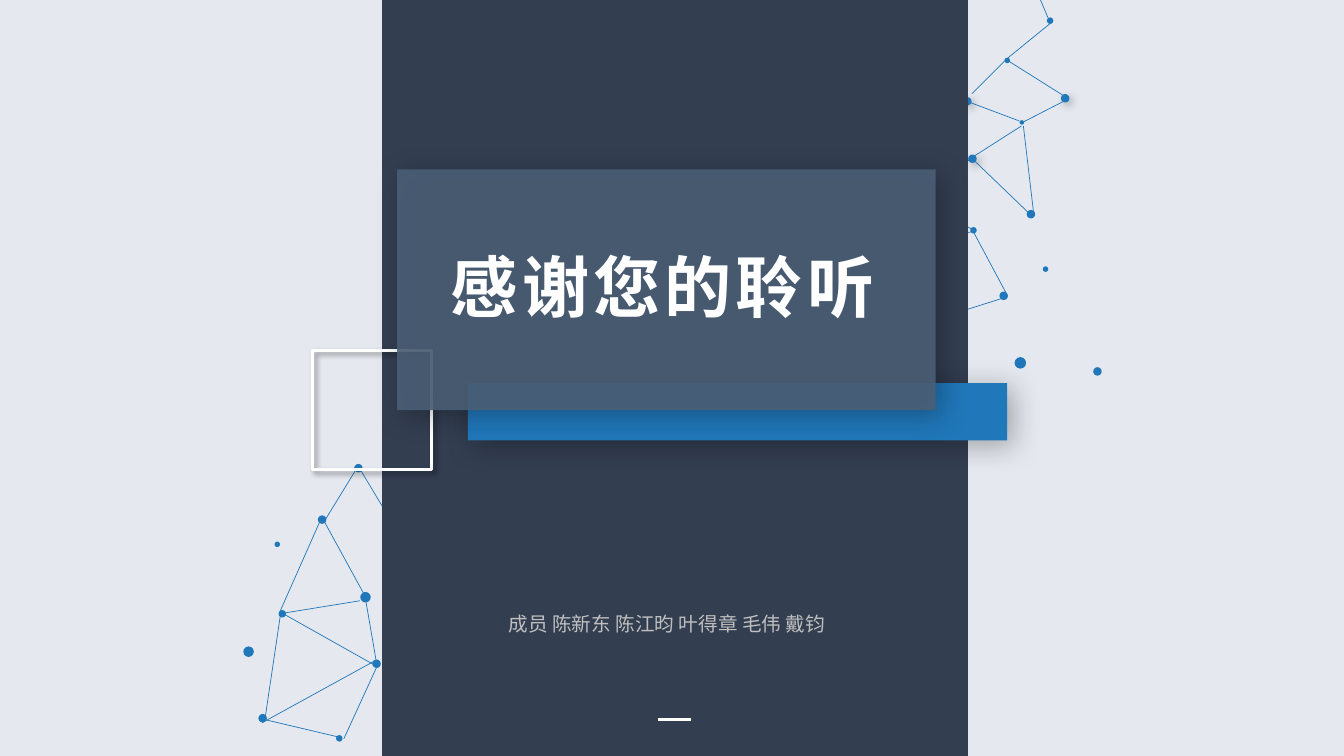
from dataclasses import dataclass
from typing import NamedTuple, Optional

from lxml.etree import SubElement
from pptx import Presentation
from pptx.dml.color import RGBColor
from pptx.enum.shapes import MSO_CONNECTOR as Connector, MSO_SHAPE as Preset
from pptx.enum.text import MSO_ANCHOR as Anchor, MSO_AUTO_SIZE as AutoSize, PP_ALIGN as Align
from pptx.oxml.ns import qn
from pptx.util import Inches, Pt


@dataclass(frozen=True)
class Theme:
    backdrop: str = "E5E9EF"
    band: str = "333E51"
    panel: str = "4B5E75"
    accent: str = "2077B9"
    white: str = "FFFFFF"
    muted: str = "BFBFBF"
    black: str = "000000"
    gray: str = "404040"
    font: str = "Noto Sans CJK SC"
    title_size: float = 48
    members_size: float = 14
    strand_width: float = 0.5
    dot_width: float = 1
    frame_width: float = 2.25


THEME = Theme()


class Shadow(NamedTuple):
    color: str
    opacity: int
    blur: float
    distance: float


class Strand(NamedTuple):
    x1: float
    y1: float
    x2: float
    y2: float


class Dot(NamedTuple):
    left: float
    top: float
    size: float
    shadow: Optional[Shadow] = None


class Block(NamedTuple):
    left: float
    top: float
    width: float
    height: float
    fill: Optional[str] = None
    opacity: int = 100
    line: Optional[str] = None
    line_width: float = 0
    shadow: Optional[Shadow] = None


SOFT = Shadow(THEME.black, 30, 20, 5)
FRAME_SHADOW = Shadow(THEME.black, 40, 4, 3)
DOT_SHADOW = Shadow(THEME.gray, 40, 6, 3)

UPPER_STRANDS = [
    Strand(10.01, 0.61, 10.55, 0.95), Strand(10.32, 0, 10.4, 0.19),
    Strand(10.42, 0.23, 9.99, 0.58), Strand(9.97, 0.6, 9.64, 0.93),
    Strand(9.63, 1.02, 10.11, 1.2), Strand(9.66, 1.55, 10.13, 1.25),
    Strand(9.61, 1.59, 9.19, 1.86), Strand(10.25, 2.1, 10.15, 1.25),
    Strand(9.67, 1.6, 10.2, 2.11), Strand(10.15, 1.21, 10.54, 1.01),
    Strand(9.08, 1.95, 9.63, 2.27), Strand(9.66, 2.31, 9.98, 2.91),
    Strand(9.64, 2.3, 8.57, 2.46), Strand(9.94, 2.96, 9.18, 3.2),
]
UPPER_DOTS = [
    Dot(10.39, 0.18, 0.05), Dot(9.56, 0.97, 0.07, DOT_SHADOW),
    Dot(9.61, 1.54, 0.07, DOT_SHADOW), Dot(10.19, 2.09, 0.07),
    Dot(10.53, 0.94, 0.07, DOT_SHADOW), Dot(9.97, 0.58, 0.04),
    Dot(10.12, 1.2, 0.03), Dot(9.63, 2.26, 0.05), Dot(9.92, 2.9, 0.07),
    Dot(10.07, 3.55, 0.1), Dot(10.85, 3.65, 0.07), Dot(10.35, 2.65, 0.04),
]
LOWER_STRANDS = [
    Strand(3.63, 5.97, 3.73, 6.55), Strand(3.41, 7.33, 3.74, 6.61),
    Strand(2.63, 7.12, 2.78, 6.11), Strand(2.6, 7.17, 3.71, 6.56),
    Strand(3.7, 6.59, 2.83, 6.1), Strand(3.35, 7.31, 2.63, 7.14),
    Strand(2.83, 6.08, 3.57, 5.96), Strand(3.22, 5.18, 3.63, 5.93),
    Strand(3.17, 5.18, 2.78, 6.06), Strand(3.53, 4.66, 3.23, 5.15),
    Strand(3.58, 4.67, 3.91, 5.22),
]
LOWER_DOTS = [
    Dot(3.7, 6.55, 0.07), Dot(3.34, 7.3, 0.05), Dot(2.77, 6.06, 0.06),
    Dot(3.16, 5.12, 0.07), Dot(2.57, 7.09, 0.07), Dot(3.58, 5.88, 0.09),
    Dot(2.42, 6.42, 0.09), Dot(3.52, 4.61, 0.07), Dot(2.73, 5.38, 0.04),
]

BAND = Block(3.79, 0, 5.81, 7.5, THEME.band)
BAR = Block(4.64, 3.8, 5.35, 0.57, THEME.accent, shadow=SOFT)
FRAME = Block(3.1, 3.48, 1.18, 1.18, line=THEME.white,
              line_width=THEME.frame_width, shadow=FRAME_SHADOW)
PANEL = Block(3.94, 1.68, 5.34, 2.39, THEME.panel, 90, shadow=SOFT)
DASH = Strand(6.53, 7.14, 6.85, 7.14)


def rgb(color: str) -> RGBColor:
    return RGBColor.from_string(color)


def add_alpha(color_node, percent: int) -> None:
    SubElement(color_node, qn("a:alpha"), val=str(percent * 1000))


def set_shadow(shape, shadow: Optional[Shadow]) -> None:
    shape.shadow.inherit = False
    if shadow:
        effects = shape.element.spPr.find(qn("a:effectLst"))
        outer = SubElement(effects, qn("a:outerShdw"), blurRad=str(Pt(shadow.blur)),
                           dist=str(Pt(shadow.distance)), dir=str(45 * 60000),
                           algn="tl", rotWithShape="0")
        add_alpha(SubElement(outer, qn("a:srgbClr"), val=shadow.color), shadow.opacity)


def add_strand(page, strand: Strand, color: str, width: float) -> None:
    line = page.shapes.add_connector(Connector.STRAIGHT, *map(Inches, strand))
    line.line.color.rgb = rgb(color)
    line.line.width = Pt(width)
    SubElement(line.element.spPr, qn("a:effectLst"))


def add_block(page, block: Block, preset=Preset.RECTANGLE) -> None:
    shape = page.shapes.add_shape(preset, *map(Inches, block[:4]))
    if block.fill:
        shape.fill.solid()
        shape.fill.fore_color.rgb = rgb(block.fill)
        if block.opacity < 100:
            add_alpha(shape.element.spPr.find(qn("a:solidFill"))[0], block.opacity)
    else:
        shape.fill.background()
    if block.line:
        shape.line.color.rgb = rgb(block.line)
        shape.line.width = Pt(block.line_width)
    else:
        shape.line.fill.background()
    set_shadow(shape, block.shadow)


def add_network(page, strands: list[Strand], dots: list[Dot]) -> None:
    for strand in strands:
        add_strand(page, strand, THEME.accent, THEME.strand_width)
    for dot in dots:
        add_block(page, Block(dot.left, dot.top, dot.size, dot.size, THEME.accent,
                              line=THEME.accent, line_width=THEME.dot_width,
                              shadow=dot.shadow), Preset.OVAL)


def write_text(box, text: str, align: Align, wrap: bool, color: str, font: dict) -> None:
    frame = box.text_frame
    frame_format = {"word_wrap": wrap, "auto_size": AutoSize.SHAPE_TO_FIT_TEXT,
                    "vertical_anchor": Anchor.TOP}
    for name, value in frame_format.items():
        setattr(frame, name, value)
    para = frame.paragraphs[0]
    para.alignment = align
    span = para.add_run()
    span.text = text
    for name, value in {"name": THEME.font, **font}.items():
        setattr(span.font, name, value)
    span.font.color.rgb = rgb(color)
    SubElement(span.font._element, qn("a:ea"), typeface=THEME.font)


def place_title(page) -> None:
    title = page.shapes.title
    bounds = {"left": 4.37, "top": 2.38, "width": 4.49, "height": 0.91}
    for name, value in bounds.items():
        setattr(title, name, Inches(value))
    write_text(title, "感谢您的聆听", Align.LEFT, False, THEME.white,
               {"size": Pt(THEME.title_size), "bold": True})
    title.text_frame.paragraphs[0].runs[0].font._element.set("spc", "300")
    title.element.getparent().append(title.element)  # bring in front of the panel


def main() -> None:
    deck = Presentation()
    deck.slide_width, deck.slide_height = Inches(13.33), Inches(7.5)
    page = deck.slides.add_slide(deck.slide_layouts.get_by_name("Title Only"))
    page.background.fill.solid()
    page.background.fill.fore_color.rgb = rgb(THEME.backdrop)

    add_network(page, UPPER_STRANDS, UPPER_DOTS)
    add_network(page, LOWER_STRANDS, LOWER_DOTS)
    add_block(page, BAND)
    add_block(page, BAR)
    members = page.shapes.add_textbox(*map(Inches, (4.29, 6.02, 4.65, 0.34)))
    write_text(members, "成员 陈新东 陈江昀 叶得章 毛伟 戴钧", Align.CENTER, True,
               THEME.muted, {"size": Pt(THEME.members_size)})
    add_strand(page, DASH, THEME.white, THEME.frame_width)
    add_block(page, FRAME)
    add_block(page, PANEL)
    place_title(page)
    deck.save("out.pptx")


if __name__ == "__main__":
    main()
